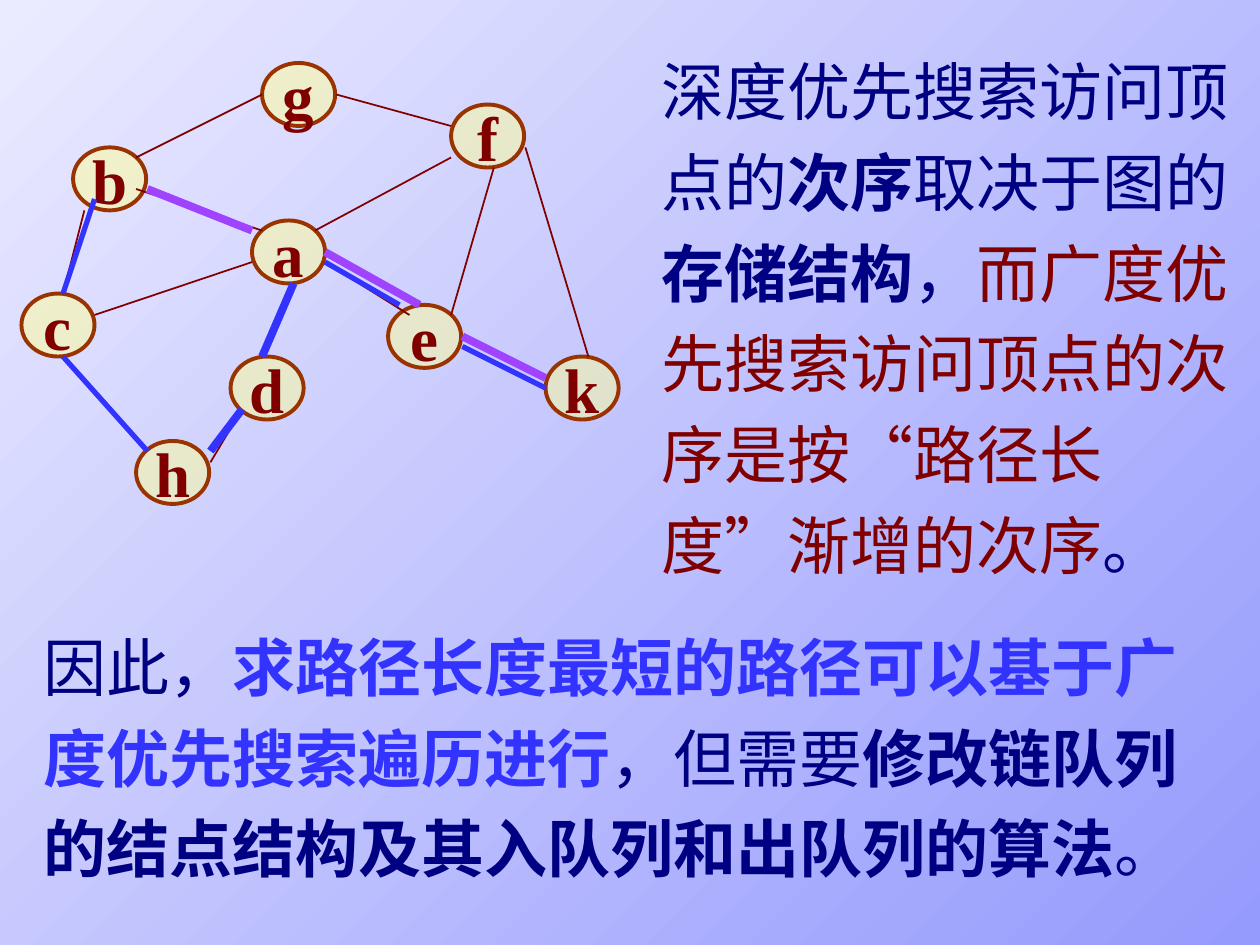
from dataclasses import dataclass

from lxml.etree import SubElement
from pptx import Presentation
from pptx.dml.color import RGBColor
from pptx.enum.lang import MSO_LANGUAGE_ID
from pptx.enum.shapes import MSO_CONNECTOR, MSO_SHAPE
from pptx.enum.text import MSO_ANCHOR, MSO_AUTO_SIZE, PP_ALIGN
from pptx.oxml.ns import qn
from pptx.slide import Slide
from pptx.util import Inches, Pt

NAVY, MAROON, BLUE, PURPLE = "000082", "800000", "3333FF", "A043FF"

VERTICES = {
    "a": (2, 1.75), "b": (0.58, 1.17), "c": (0.17, 2.33),
    "h": (1.08, 3.5), "d": (1.83, 2.83), "e": (3.08, 2.42),
    "k": (4.33, 2.83), "f": (3.58, 0.83), "g": (2.08, 0.5),
}

EDGES = [
    (2, 2.08, 0.75, 2.5), (0.5, 2.83, 1.17, 3.58), (2.67, 0.75, 3.58, 1),
    (2.33, 2.25, 2.08, 2.83), (1.92, 3.25, 1.67, 3.67),
    (3.67, 2.75, 4.33, 3.08), (2.58, 2.08, 3.25, 2.5),
    (4.17, 1.17, 4.67, 2.83), (3.92, 1.33, 3.58, 2.5),
    (1.08, 1.25, 2.08, 0.75), (1.08, 1.5, 2.08, 1.83),
    (3.58, 1.25, 2.5, 1.83), (0.67, 1.67, 0.5, 2.33),
]
DEPTH_FIRST_THIN = [
    (0.75, 1.58, 0.5, 2.33), (0.5, 2.83, 1.17, 3.58),
    (2.58, 2.08, 3.17, 2.42), (3.67, 2.75, 4.33, 3.08),
]
DEPTH_FIRST_THICK = [(1.92, 3.25, 1.67, 3.58), (2.33, 2.25, 2.08, 2.83)]
BREADTH_FIRST = [
    (1.17, 1.5, 2, 1.83), (2.58, 2, 3.33, 2.42), (3.67, 2.67, 4.33, 3),
]

CONCLUSION = [
    ("因此，", NAVY, False),
    ("求路径长度最短的路径可以基于广度优先搜索遍历进行", BLUE, True),
    ("，但需要", NAVY, False),
    ("修改链队列的结点结构及其入队列和出队列的算法", NAVY, True),
    ("。", NAVY, False),
]
COMPARISON = [
    ("深度优先搜索访问顶点的", NAVY, False),
    ("次序", NAVY, True),
    ("取决于图的", NAVY, False),
    ("存储结构", NAVY, True),
    ("，", NAVY, False),
    ("而广度优先搜索访问顶点的次序是按“路径长度”渐增的次序", MAROON, False),
    ("。", NAVY, False),
]


def rgb(value):
    """Turn a hex string into a colour."""
    return RGBColor.from_string(value)


@dataclass
class GraphSlide:
    """Hold the style and the slide being drawn."""

    slide: Slide
    font_name: str = "Times New Roman"
    font_size: float = 36
    vertex_fill: str = "FFFF99"
    vertex_outline: str = "993300"

    def background(self, start, end):
        """Fill the background with a diagonal gradient."""
        fill = self.slide.background.fill
        fill.gradient()
        fill.gradient_angle = 135
        for stop, colour in zip(fill.gradient_stops, (start, end)):
            stop.color.rgb = rgb(colour)

    def style(self, font, colour, bold):
        """Apply the slide's type style to a font."""
        font.name = self.font_name
        font.size = Pt(self.font_size)
        font.bold = bold
        font.color.rgb = rgb(colour)

    def vertex(self, label, left, top):
        """Draw a labelled vertex of the graph."""
        oval = self.slide.shapes.add_shape(
            MSO_SHAPE.OVAL, Inches(left), Inches(top), Inches(0.58), Inches(0.5))
        oval.shadow.inherit = False
        oval.fill.solid()
        oval.fill.fore_color.rgb = rgb(self.vertex_fill)
        tint = oval.fill._xPr.find(qn("a:solidFill"))[0]
        SubElement(tint, qn("a:alpha"), val="50000")
        oval.line.color.rgb = rgb(self.vertex_outline)
        oval.line.width = Pt(2.25)
        frame = oval.text_frame
        frame.text = label
        frame.word_wrap = False
        frame.vertical_anchor = MSO_ANCHOR.MIDDLE
        paragraph = frame.paragraphs[0]
        paragraph.alignment = PP_ALIGN.CENTER
        self.style(paragraph.runs[0].font, MAROON, True)

    def edges(self, segments, colour, width):
        """Draw line segments in one colour and width."""
        for segment in segments:
            edge = self.slide.shapes.add_connector(
                MSO_CONNECTOR.STRAIGHT, *map(Inches, segment))
            edge.line.color.rgb = rgb(colour)
            edge.line.width = Pt(width)
            SubElement(edge._element.spPr, qn("a:effectLst"))

    def passage(self, phrases, left, top, width, height):
        """Write a paragraph of differently styled phrases."""
        frame = self.slide.shapes.add_textbox(
            Inches(left), Inches(top), Inches(width), Inches(height)).text_frame
        frame.word_wrap = True
        frame.auto_size = MSO_AUTO_SIZE.SHAPE_TO_FIT_TEXT
        paragraph = frame.paragraphs[0]
        paragraph.line_spacing = 1.2
        for words, colour, bold in phrases:
            run = paragraph.add_run()
            run.text = words
            run.font.language_id = MSO_LANGUAGE_ID.SIMPLIFIED_CHINESE
            self.style(run.font, colour, bold)


def main():
    """Build the slide on graph traversal order."""
    presentation = Presentation()
    presentation.slide_width = Inches(10)
    presentation.slide_height = Inches(7.5)
    blank = presentation.slide_layouts[6]
    graph = GraphSlide(presentation.slides.add_slide(blank))
    graph.background("959AFD", "EBEBFF")
    for label, (left, top) in VERTICES.items():
        graph.vertex(label, left, top)
    graph.edges(EDGES, MAROON, 1)
    graph.edges(DEPTH_FIRST_THIN, BLUE, 3)
    graph.edges(DEPTH_FIRST_THICK, BLUE, 4.5)
    graph.edges(BREADTH_FIRST, PURPLE, 4.5)
    graph.passage(CONCLUSION, 0.25, 4.82, 9.58, 2.26)
    graph.passage(COMPARISON, 5.15, 0.25, 4.93, 4.42)
    presentation.save("out.pptx")


if __name__ == "__main__":
    main()
